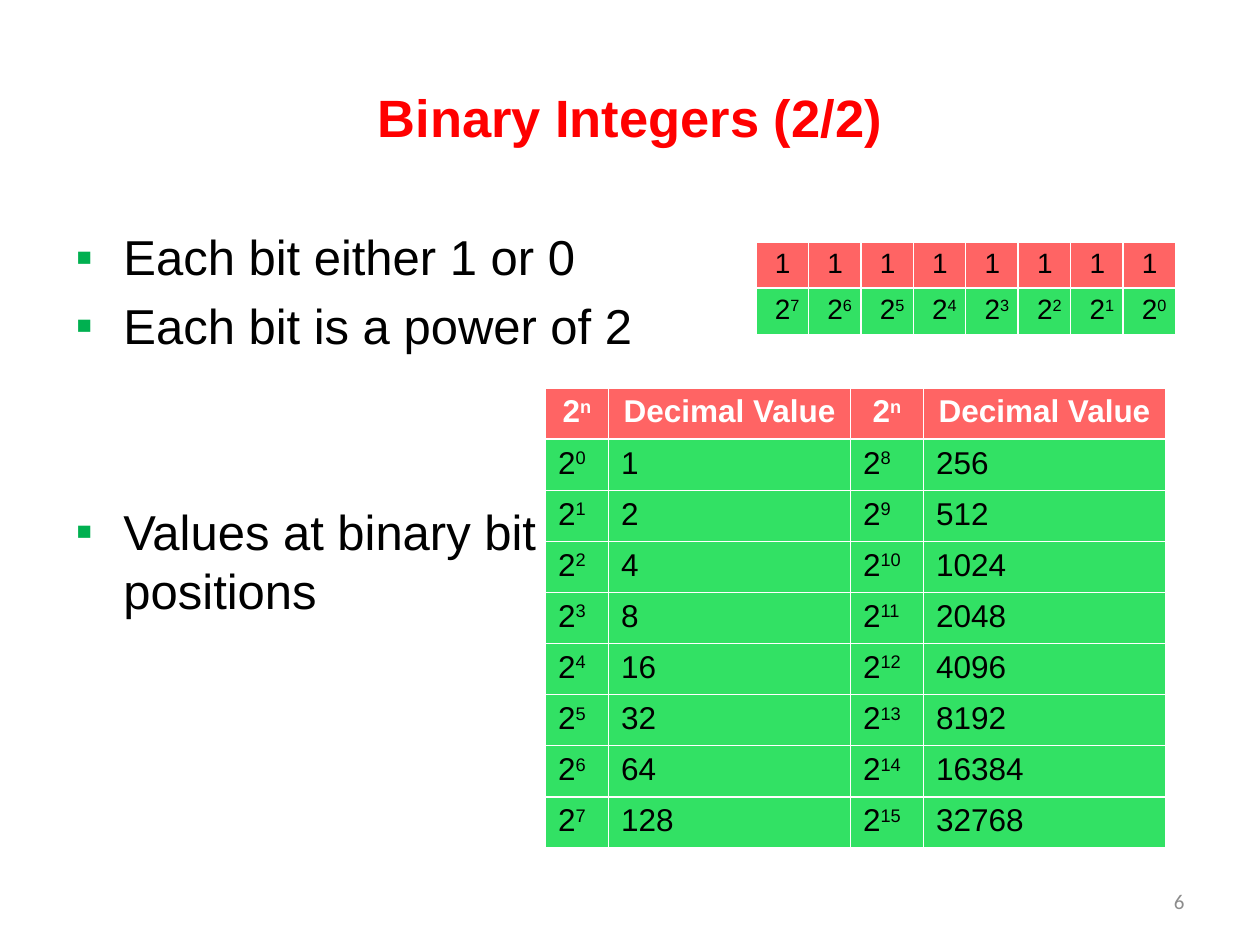
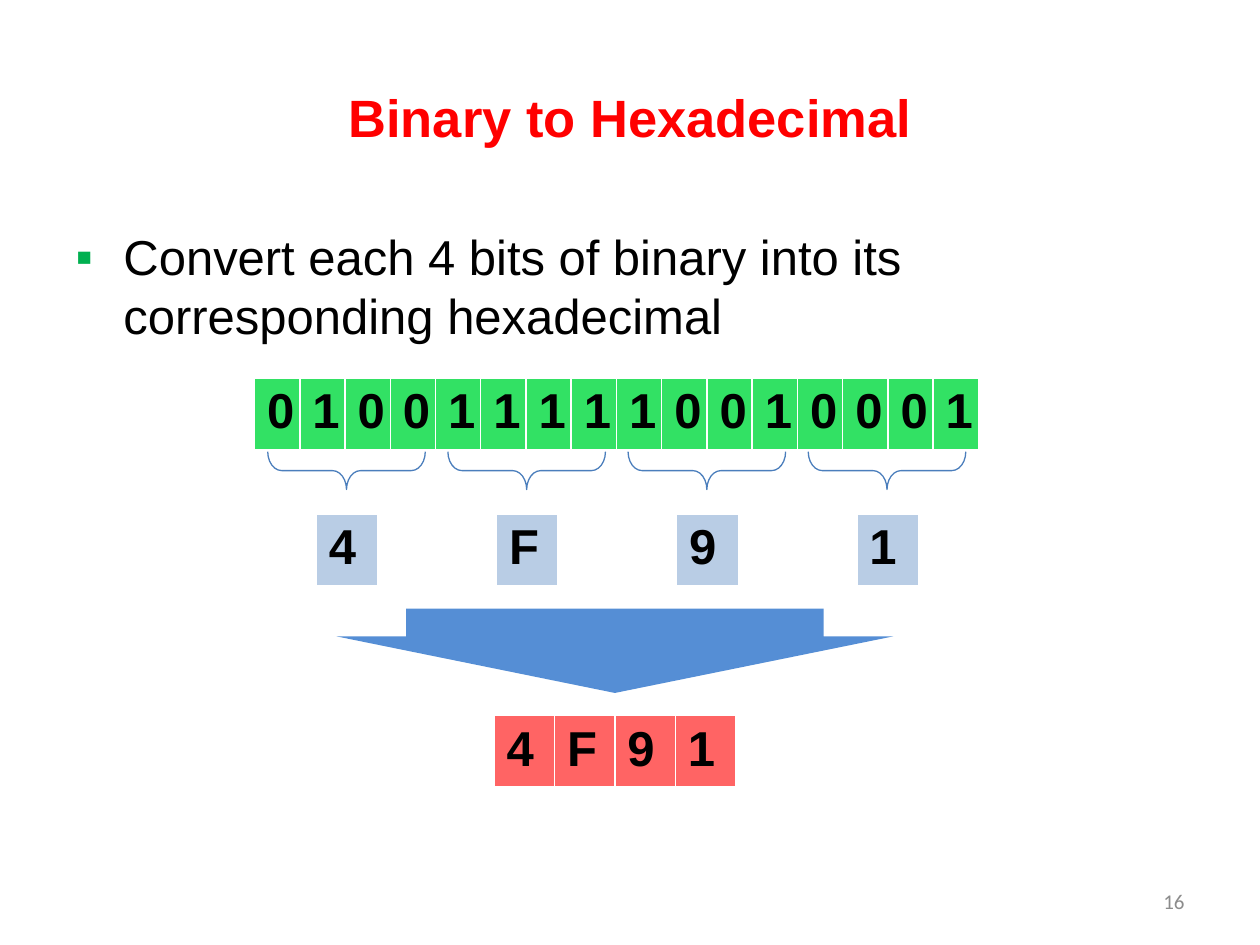
from lxml import etree
from pptx import Presentation
from pptx.dml.color import RGBColor
from pptx.enum.shapes import MSO_SHAPE as Shape
from pptx.enum.text import MSO_ANCHOR as Anchor, MSO_AUTO_SIZE as AutoSize, PP_ALIGN as Align
from pptx.oxml.ns import qn
from pptx.util import Inches, Pt

COLORS = {
    "title": "FF0000",
    "text": "000000",
    "header_text": "FFFFFF",
    "bullet": "00B050",
    "page_number": "8C8C8C",
    "red": "FF6464",
    "green": "32E164",
    "pale_blue": "B9CDE5",
    "arrow": "558ED5",
    "brace": "4B7EBC",
}


def rgb(name):
    return RGBColor.from_string(COLORS[name])


def write(para, text, size=28, color="text", bold=False, font="Arial", align=None):
    """Fill a paragraph; the part of the text after ^ is raised."""
    para.alignment = align
    for position, part in enumerate(text.split("^")):
        span = para.add_run()
        span.text = part
        span.font.name = font
        span.font.size = Pt(size)
        span.font.bold = bold
        span.font.color.rgb = rgb(color)
        if position:
            span._r.get_or_add_rPr().set("baseline", "30000")


def place(shape, left, top, width, height):
    shape.left, shape.top = Inches(left), Inches(top)
    shape.width, shape.height = Inches(width), Inches(height)


def add_page(deck, title, number):
    page = deck.slides.add_slide(deck.slide_layouts[1])
    place(page.shapes.title, 0.5, 0.3, 9, 1.25)
    frame = page.shapes.title.text_frame
    frame.vertical_anchor = Anchor.MIDDLE
    write(frame.paragraphs[0], title, size=30, color="title", bold=True, align=Align.CENTER)

    box = page.shapes.add_textbox(Inches(7.17), Inches(6.95), Inches(2.33), Inches(0.4))
    box.text_frame.word_wrap = True
    box.text_frame.vertical_anchor = Anchor.MIDDLE
    write(box.text_frame.paragraphs[0], str(number), size=12, color="page_number",
          font="Calibri", align=Align.RIGHT)
    return page


def set_bullet(para):
    props = para._p.get_or_add_pPr()
    props.set("marL", str(Inches(0.38)))
    props.set("indent", str(-Inches(0.38)))
    color = etree.SubElement(props, qn("a:buClr"))
    etree.SubElement(color, qn("a:srgbClr"), val=COLORS["bullet"])
    etree.SubElement(props, qn("a:buFont"), typeface="Arial")
    etree.SubElement(props, qn("a:buChar"), char="▪")


def fill_body(page, items, width):
    """Write bullets from (text, points of space before or None) pairs."""
    body = page.placeholders[1]
    place(body, 0.5, 1.75, width, 4.95)
    frame = body.text_frame
    frame.auto_size = AutoSize.NONE
    for index, (text, gap) in enumerate(items):
        para = frame.add_paragraph() if index else frame.paragraphs[0]
        if gap is not None:
            para.space_before = Pt(gap)
        set_bullet(para)
        write(para, text)


def add_grid(page, rows, left, top, widths, height, fills, header=None, insets=None, **style):
    """Add a table with one fill per row; header overrides the first row's text style."""
    frame = page.shapes.add_table(len(rows), len(widths), Inches(left), Inches(top),
                                  Inches(sum(widths)), Inches(height))
    table = frame.table
    table.horz_banding = False
    for column, width in zip(table.columns, widths):
        column.width = Inches(width)
    for r, (row, fill) in enumerate(zip(rows, fills)):
        row_style = {**style, **header} if header and r == 0 else style
        for c, text in enumerate(row):
            cell = table.cell(r, c)
            cell.fill.solid()
            cell.fill.fore_color.rgb = rgb(fill)
            if insets:
                cell.margin_left, cell.margin_right = map(Inches, insets)
            write(cell.text_frame.paragraphs[0], text, **row_style)


def add_digits(page, digits, left, top, width, fill):
    add_grid(page, [digits], left, top, [width] * len(digits), 0.41, [fill], bold=True)


def add_preset(page, kind, left, top, width, height, adjustments):
    shape = page.shapes.add_shape(kind, Inches(left), Inches(top), Inches(width), Inches(height))
    shape.shadow.inherit = False
    for index, value in enumerate(adjustments):
        shape.adjustments[index] = value
    return shape


def add_brace(page, left, top):
    brace = add_preset(page, Shape.LEFT_BRACE, left, top, 0.3, 1.25, [0.37, 0.5])
    brace.rotation = 270
    brace.fill.background()
    brace.line.color.rgb = rgb("brace")
    brace.line.width = Pt(0.75)


def add_arrow(page):
    arrow = add_preset(page, Shape.DOWN_ARROW, 2.67, 4.83, 4.42, 0.67, [0.75, 0.67])
    arrow.fill.solid()
    arrow.fill.fore_color.rgb = rgb("arrow")
    arrow.line.fill.background()


def build_integers(deck):
    page = add_page(deck, "Binary Integers (2/2)", 6)
    fill_body(page, [("Each bit either 1 or 0", None),
                     ("Each bit is a power of 2", None),
                     ("Values at binary bit positions", 84)], width=4.75)

    bits = [["1"] * 8, [f"2^{n}" for n in reversed(range(8))]]
    add_grid(page, bits, 6, 1.92, [3.33 / 8] * 8, 0.7, ["red", "green"],
             insets=(0.15, 0), size=16)

    powers = [["2^n", "Decimal Value"] * 2]
    powers += [[f"2^{n}", str(2 ** n), f"2^{n + 8}", str(2 ** (n + 8))] for n in range(8)]
    add_grid(page, powers, 4.33, 3.08, [0.5, 1.92, 0.58, 1.92], 3.65,
             ["red"] + ["green"] * 8, size=18,
             header={"color": "header_text", "bold": True, "align": Align.CENTER})


def build_hexadecimal(deck):
    page = add_page(deck, "Binary to Hexadecimal", 16)
    fill_body(page, [("Convert each 4 bits of binary into its corresponding hexadecimal", None)],
              width=9)

    number = "4F91"
    bits = f"{int(number, 16):016b}"
    add_digits(page, number, 3.92, 5.68, 0.48, "red")
    add_digits(page, bits, 2.02, 3, 5.75 / 16, "green")
    for index, digit in enumerate(number):
        shift = 1.43 * index
        add_brace(page, 2.6 + shift, 3.11)
        add_digits(page, digit, 2.51 + shift, 4.08, 0.49, "pale_blue")
    add_arrow(page)


def main():
    deck = Presentation()
    deck.slide_width, deck.slide_height = Inches(10), Inches(7.5)
    build_integers(deck)
    build_hexadecimal(deck)
    deck.save("out.pptx")


if __name__ == "__main__":
    main()
